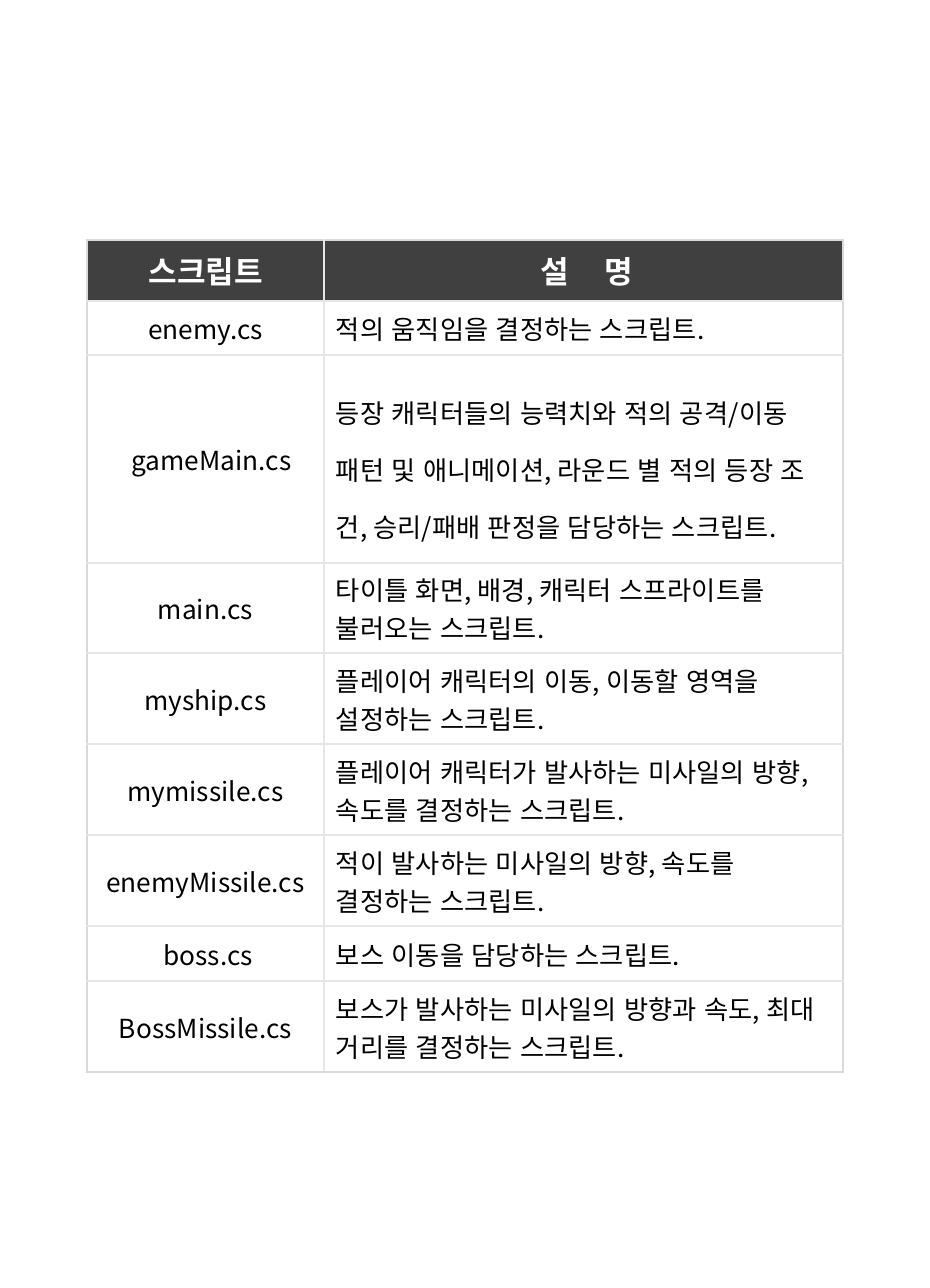
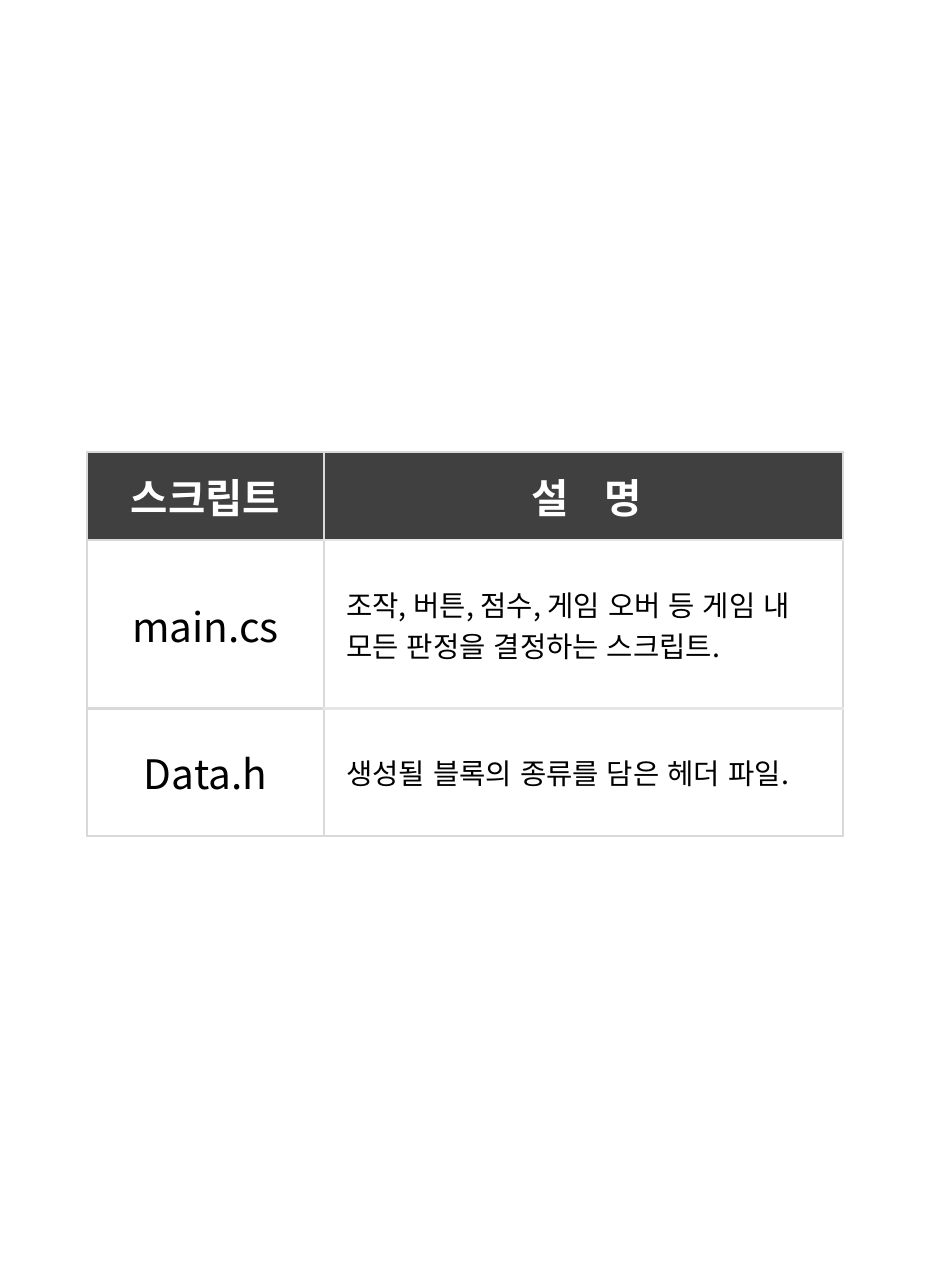
from pptx import Presentation as Deck
from pptx.dml.color import RGBColor as Rgb
from pptx.enum.lang import MSO_LANGUAGE_ID as Lang
from pptx.enum.text import MSO_ANCHOR as Anchor, PP_ALIGN as Align
from pptx.oxml.ns import qn
from pptx.util import Inches, Pt
from lxml.etree import SubElement as Sub

WIDE, HIGH = Pt(390), Pt(540)
LEFT, WIDTHS = 50.7, (138, 302.3)  # grid columns, a hundredth of an inch each
FONT = "Noto Sans CJK KR"
DARK, WHITE, BLACK = "404040", "FFFFFF", "000000"
EDGE, RULE = "D9D9D9", "E7E6E6"


def grid(n):
    return Inches(n / 100)


def color(code):
    return Rgb.from_string(code)


class Page:
    """Style of the script tables and the slide being filled."""

    def __init__(self):
        self.deck = Deck()
        self.deck.slide_width, self.deck.slide_height = WIDE, HIGH
        self.slide = None

    def new(self):
        self.slide = self.deck.slides.add_slide(self.deck.slide_layouts[6])

    def run(self, para, text, size, ink, bold, gap=0):
        run = para.add_run()
        run.text = text
        font = run.font
        font.size, font.bold = Pt(size), bold
        font.color.rgb = color(ink)
        font.name = FONT
        font.language_id = Lang.KOREAN
        props = run._r.get_or_add_rPr()
        props.set("kern", "0")
        Sub(props, qn("a:ea"), typeface=FONT)
        if gap:  # letter spacing in points
            props.set("spc", str(round(gap * 100)))

    def border(self, cell, inks):
        props = cell._tc.get_or_add_tcPr()
        for side, ink in zip("LRTB", inks):
            line = Sub(props, qn("a:ln" + side), w=str(Pt(1)))
            fill = Sub(line, qn("a:solidFill"))
            Sub(fill, qn("a:srgbClr"), val=ink)

    def cell(self, cell, pad, inks, fill=None, shift=0):
        cell.vertical_anchor = Anchor.MIDDLE
        cell.margin_left = grid(pad[0] + shift)
        cell.margin_right = grid(pad[0])
        cell.margin_top = cell.margin_bottom = grid(pad[1])
        self.border(cell, inks)
        if fill:
            cell.fill.solid()
            cell.fill.fore_color.rgb = color(fill)
        else:
            cell.fill.background()
        return cell.text_frame.paragraphs[0]

    def table(self, top, highs, rows, sizes, pad, gap, side, shifts=None, loose=()):
        """Draw a header row, then rows of (script, description).

        sizes: header, script and description text; side: inner lines of the
        script column; shifts: extra left margin by text; loose: wide-set rows.
        """
        shifts = shifts or {}
        head, name, note = sizes
        frame = self.slide.shapes.add_table(
            len(highs), 2, grid(LEFT), grid(top), grid(sum(WIDTHS)), grid(sum(highs)))
        table = frame.table
        table.first_row = table.horz_banding = False
        for col, wide in zip(table.columns, WIDTHS):
            col.width = grid(wide)
        for row, high in zip(table.rows, highs):
            row.height = grid(high)

        def inks(r, c):
            flat = RULE if c else side
            return (side if c else EDGE, EDGE if c else side,
                    flat if r else EDGE, EDGE if r == len(rows) else flat)

        # Header
        for c, parts in enumerate((("스크립트",), ("설", " ", "명"))):
            para = self.cell(table.cell(0, c), pad, inks(0, c), DARK, 4 * c)
            para.alignment = Align.CENTER
            for part in parts:
                self.run(para, part, head, WHITE, True, gap if part == " " else 0)

        # Body
        for r, pair in enumerate(rows, 1):
            for c, text in enumerate(pair):
                para = self.cell(table.cell(r, c), pad, inks(r, c),
                                 shift=shifts.get(text, 0))
                para.alignment = Align.LEFT if c else Align.CENTER
                if c and pair[0] in loose:
                    para.line_spacing = 1.5
                self.run(para, text, note if c else name, BLACK, False)


SHOOTER = [
    ("enemy.cs", "적의 움직임을 결정하는 스크립트."),
    ("gameMain.cs", "등장 캐릭터들의 능력치와 적의 공격/이동 패턴 및 애니메이션, "
                    "라운드 별 적의 등장 조건, 승리/패배 판정을 담당하는 스크립트."),
    ("main.cs", "타이틀 화면, 배경, 캐릭터 스프라이트를 불러오는 스크립트."),
    ("myship.cs", "플레이어 캐릭터의 이동, 이동할 영역을 설정하는 스크립트."),
    ("mymissile.cs", "플레이어 캐릭터가 발사하는 미사일의 방향, 속도를 결정하는 스크립트."),
    ("enemyMissile.cs", "적이 발사하는 미사일의 방향, 속도를 결정하는 스크립트."),
    ("boss.cs", "보스 이동을 담당하는 스크립트."),
    ("BossMissile.cs", "보스가 발사하는 미사일의 방향과 속도, 최대 거리를 결정하는 스크립트."),
]
PUZZLE = [
    ("main.cs", "조작, 버튼, 점수, 게임 오버 등 게임 내 모든 판정을 결정하는 스크립트."),
    ("Data.h", "생성될 블록의 종류를 담은 헤더 파일."),
]


def main():
    page = Page()

    # Scripts of the shooting game
    page.new()
    page.table(140, [35, 32, 120.6] + [50] * 4 + [32, 50], SHOOTER, (13, 11, 11),
               (7, 4.3), 11.2, RULE, {"gameMain.cs": 7, "boss.cs": 3}, ("gameMain.cs",))

    # Scripts of the block game
    page.new()
    page.table(263, [51, 98, 74], PUZZLE, (17, 17, 12), (13, 8.6), 10, EDGE)

    page.deck.save("out.pptx")


if __name__ == "__main__":
    main()
